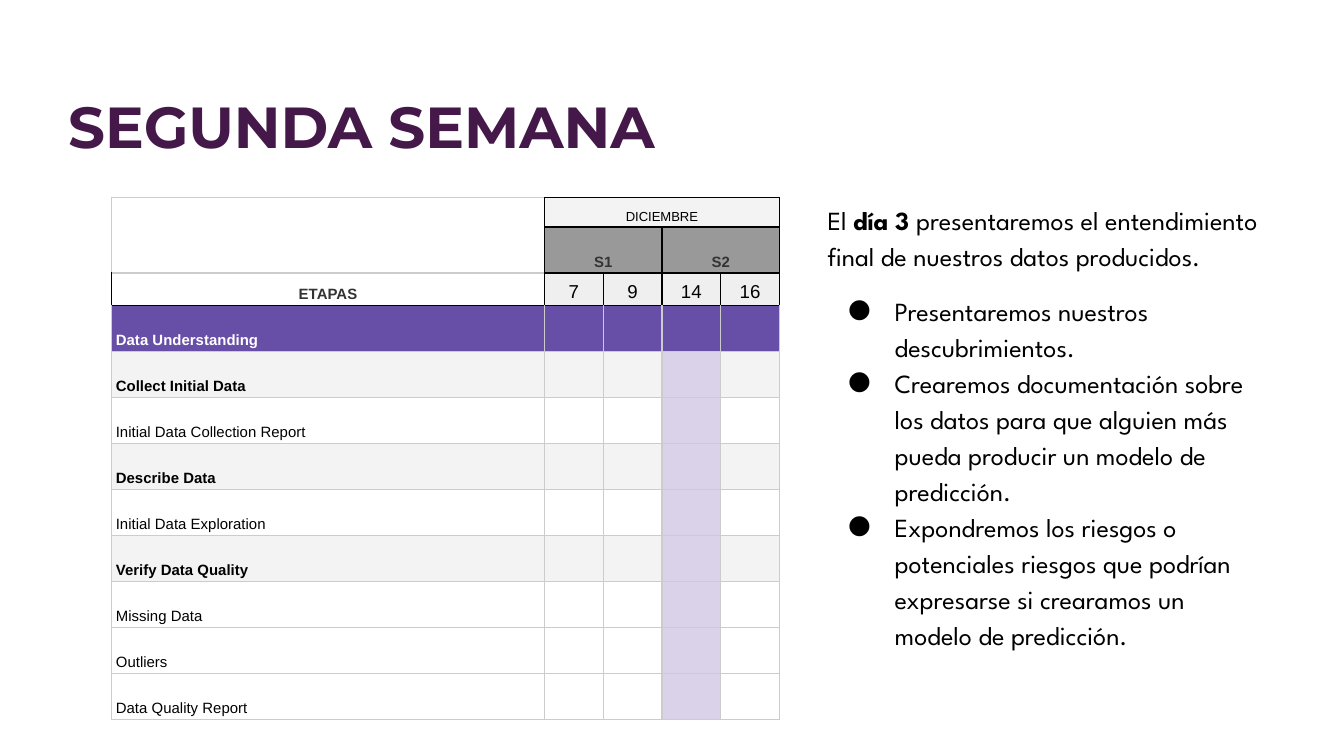
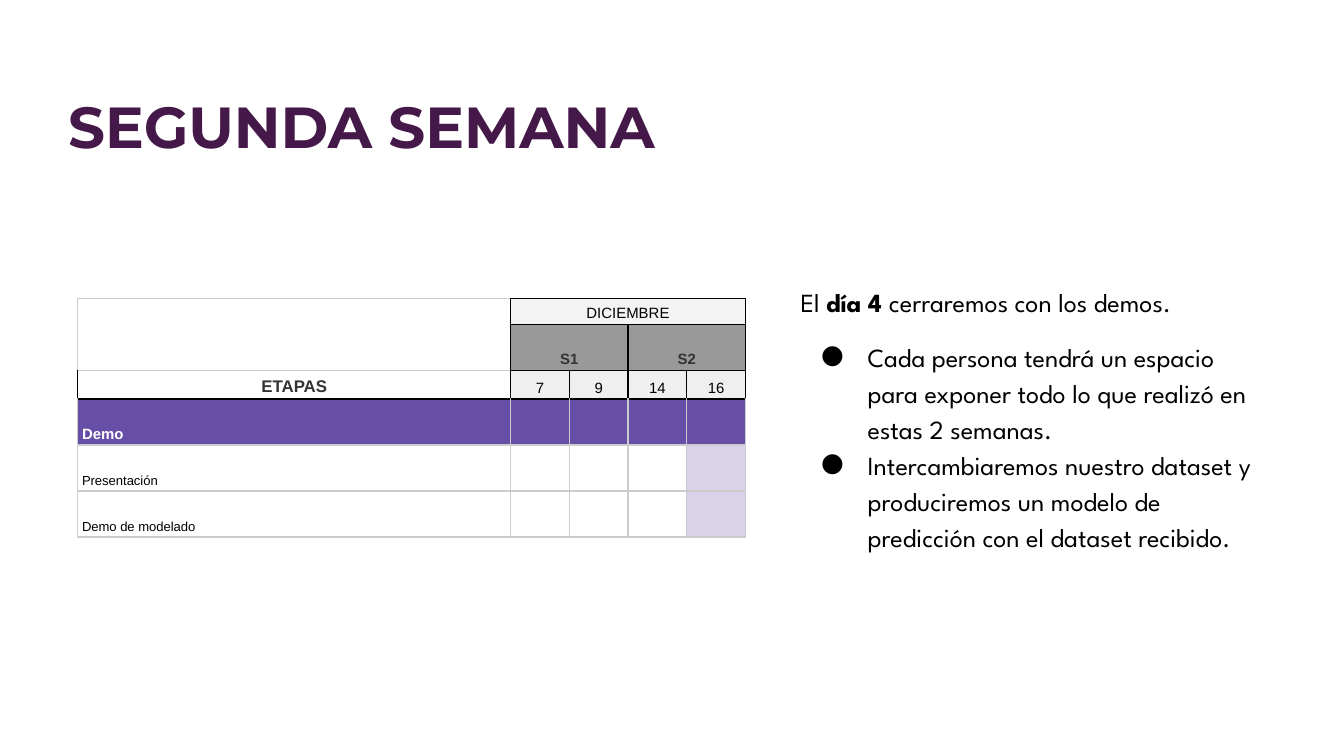
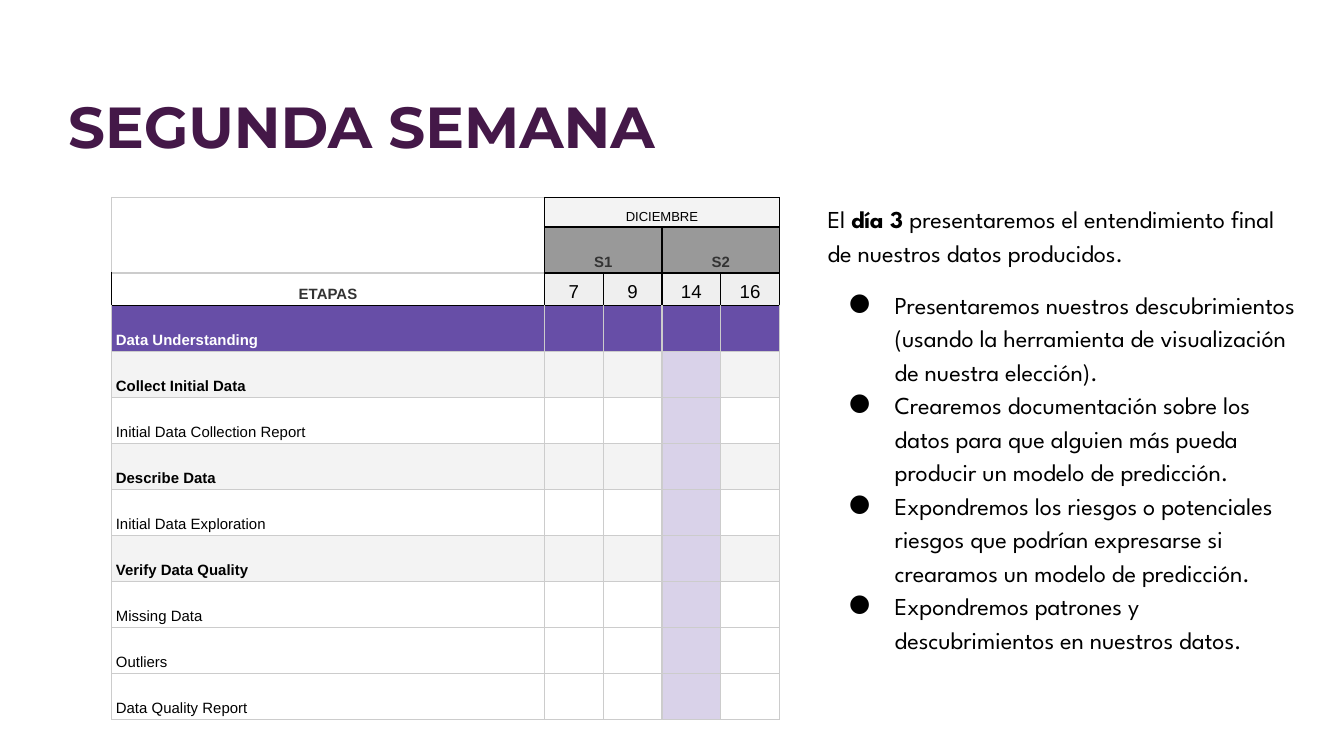
from lxml.etree import SubElement
from pptx import Presentation
from pptx.dml.color import RGBColor
from pptx.enum.text import MSO_ANCHOR, MSO_AUTO_SIZE, PP_ALIGN
from pptx.oxml.ns import qn
from pptx.util import Cm, Pt

COLORS = {
    "title": "441848", "black": "000000", "white": "FFFFFF", "grid": "CCCCCC",
    "month": "F3F3F3", "week": "999999", "week_text": "333333", "day": "EFEFEF",
    "phase": "674EA7", "group": "F3F3F3", "active": "D9D2E9",
}
TITLE_FONT, BODY_FONT, TABLE_FONT = "Montserrat", "League Spartan", "Arial"
DAYS = ["7", "9", "14", "16"]
HEADER_ROWS = 3


def add_run(p, text, font, size, color="black", bold=False):
    r = p.add_run()
    r.text = text
    r.font.name = font
    r.font.size = Pt(size)
    r.font.bold = bold
    r.font.color.rgb = RGBColor.from_string(COLORS[color])


def add_textbox(s, left, top, width, height):
    tf = s.shapes.add_textbox(Cm(left), Cm(top), Cm(width), Cm(height)).text_frame
    tf.word_wrap = True
    tf.margin_left = tf.margin_right = tf.margin_top = tf.margin_bottom = Cm(0.25)
    return tf


# Schedules: tasks are (name, is a group heading); sizes are in points
understanding = {
    "pos": (2.11, 3.73), "phase": "Data Understanding", "active_col": 3,
    "header_heights": [0.56, 0.87, 0.61],
    "sizes": {"month": 7, "stage": 8, "day": 10, "task": 8},
    "tasks": [
        ("Collect Initial Data", True), ("Initial Data Collection Report", False),
        ("Describe Data", True), ("Initial Data Exploration", False),
        ("Verify Data Quality", True), ("Missing Data", False),
        ("Outliers", False), ("Data Quality Report", False),
    ],
}
demo = {
    "pos": (1.47, 5.64), "phase": "Demo", "active_col": 4,
    "header_heights": [0.49, 0.87, 0.54],
    "sizes": {"month": 8, "stage": 9, "day": 8, "task": 7},
    "tasks": [("Presentación", False), ("Demo de modelado", False)],
}

# Wording of the slides
findings = "presentaremos el entendimiento final de nuestros datos producidos."
documentation = ("Crearemos documentación sobre los datos para que alguien más pueda "
                 "producir un modelo de predicción.")
risks = ("Expondremos los riesgos o potenciales riesgos que podrían expresarse si "
         "crearamos un modelo de predicción.")
slides = [
    {"plan": understanding, "box": (15.39, 3.53, 8.74, 10.41), "size": 14,
     "hang": 0.88, "day": "día 3 ", "intro": findings,
     "bullets": ["Presentaremos nuestros descubrimientos.", documentation, risks]},
    {"plan": demo, "box": (14.88, 5.08, 9.32, 5.59), "size": 14,
     "hang": 0.88, "day": "día 4 ", "intro": "cerraremos con los demos.",
     "bullets": [
         "Cada persona tendrá un espacio para exponer todo lo que realizó en estas 2 semanas.",
         "Intercambiaremos nuestro dataset y produciremos un modelo de predicción "
         "con el dataset recibido."]},
    {"plan": understanding, "box": (15.39, 3.53, 9.35, 10.36), "size": 13,
     "hang": 0.86, "day": "día 3 ", "intro": findings,
     "bullets": [
         "Presentaremos nuestros descubrimientos (usando la herramienta de visualización "
         "de nuestra elección).",
         documentation, risks, "Expondremos patrones y descubrimientos en nuestros datos."]},
]

prs = Presentation()
prs.slide_width, prs.slide_height = Cm(25.4), Cm(14.29)

for page in slides:
    s = prs.slides.add_slide(prs.slide_layouts[6])
    s.background.fill.solid()
    s.background.fill.fore_color.rgb = RGBColor.from_string(COLORS["white"])

    # Title
    p = add_textbox(s, 1.04, 1.07, 23.83, 1.78).paragraphs[0]
    p.line_spacing = 1.3
    p.space_after = Pt(6)
    add_run(p, "SEGUNDA SEMANA", TITLE_FONT, 31, "title", True)

    # Explanation with bullets
    tf = add_textbox(s, *page["box"])
    tf.auto_size = MSO_AUTO_SIZE.SHAPE_TO_FIT_TEXT
    p = tf.paragraphs[0]
    p.line_spacing = 1.15
    add_run(p, "El ", BODY_FONT, page["size"])
    add_run(p, page["day"], BODY_FONT, page["size"], bold=True)
    add_run(p, page["intro"], BODY_FONT, page["size"])
    for i, text in enumerate(page["bullets"]):
        p = tf.add_paragraph()
        p.line_spacing = 1.15
        p.space_before = Pt(0 if i else 10)
        pPr = p._p.get_or_add_pPr()
        pPr.set("marL", str(Cm(1.27)))
        pPr.set("indent", str(-Cm(page["hang"])))
        SubElement(SubElement(pPr, qn("a:buClr")), qn("a:srgbClr"), val=COLORS["black"])
        SubElement(pPr, qn("a:buFont"), typeface=BODY_FONT)
        SubElement(pPr, qn("a:buChar"), char="●")
        add_run(p, text, BODY_FONT, page["size"])

    # Schedule table
    plan = page["plan"]
    sizes, tasks = plan["sizes"], plan["tasks"]
    heights = plan["header_heights"] + [0.87] * (1 + len(tasks))
    widths = [8.18] + [1.11] * len(DAYS)
    left, top = plan["pos"]
    table = s.shapes.add_table(len(heights), len(widths), Cm(left), Cm(top),
                               Cm(sum(widths)), Cm(sum(heights))).table
    table.first_row = table.horz_banding = False
    for row, height in zip(table.rows, heights):
        row.height = Cm(height)
    for column, width in zip(table.columns, widths):
        column.width = Cm(width)

    # Table text: (row, column) -> text, size, colour, bold
    texts = {
        (0, 1): ("DICIEMBRE", sizes["month"], "black", False),
        (1, 1): ("S1", 8, "week_text", True),
        (1, 3): ("S2", 8, "week_text", True),
        (2, 0): ("ETAPAS", sizes["stage"], "week_text", True),
        (3, 0): (plan["phase"], 8, "white", True),
    }
    for c, day in enumerate(DAYS, 1):
        texts[2, c] = (day, sizes["day"], "black", False)
    for r, (name, is_group) in enumerate(tasks, HEADER_ROWS + 1):
        texts[r, 0] = (name, sizes["task"], "black", is_group)

    for r in range(len(heights)):
        for c in range(len(widths)):
            cell = table.cell(r, c)
            cell.vertical_anchor = MSO_ANCHOR.BOTTOM
            cell.margin_left = cell.margin_right = Cm(0.08)
            cell.margin_top = cell.margin_bottom = Cm(0.05)

            # Borders: black around the calendar header, grey elsewhere
            for side in "LRTB":
                is_black = ((r < HEADER_ROWS and c > 0)
                            or (r < 2 and side == "R")
                            or (r == 2 and side != "T")
                            or (r == HEADER_ROWS and side == "T"))
                ln = SubElement(cell._tc.get_or_add_tcPr(), qn("a:ln" + side), w=str(Pt(0.75)))
                SubElement(SubElement(ln, qn("a:solidFill")), qn("a:srgbClr"),
                           val=COLORS["black" if is_black else "grid"])

            # Fill
            if r < HEADER_ROWS:
                fill = ["month", "week", "day"][r] if c else ("white" if r == 2 else None)
            elif r == HEADER_ROWS:
                fill = "phase"
            elif c == plan["active_col"]:
                fill = "active"
            else:
                fill = "group" if tasks[r - HEADER_ROWS - 1][1] else None
            if fill:
                cell.fill.solid()
                cell.fill.fore_color.rgb = RGBColor.from_string(COLORS[fill])
            else:
                cell.fill.background()

            # Text; empty cells get a small size so that rows keep their height
            p = cell.text_frame.paragraphs[0]
            if (r, c) in texts:
                text, size, color, bold = texts[r, c]
                p.line_spacing = 1.15
                p.alignment = PP_ALIGN.CENTER if r < HEADER_ROWS else PP_ALIGN.LEFT
                add_run(p, text, TABLE_FONT, size, color, bold)
            else:
                SubElement(p._p, qn("a:endParaRPr"), sz="700")

    # Merged header cells
    for first, last in [((0, 0), (1, 0)), ((0, 1), (0, 4)), ((1, 1), (1, 2)), ((1, 3), (1, 4))]:
        table.cell(*first).merge(table.cell(*last))

prs.save("out.pptx")
